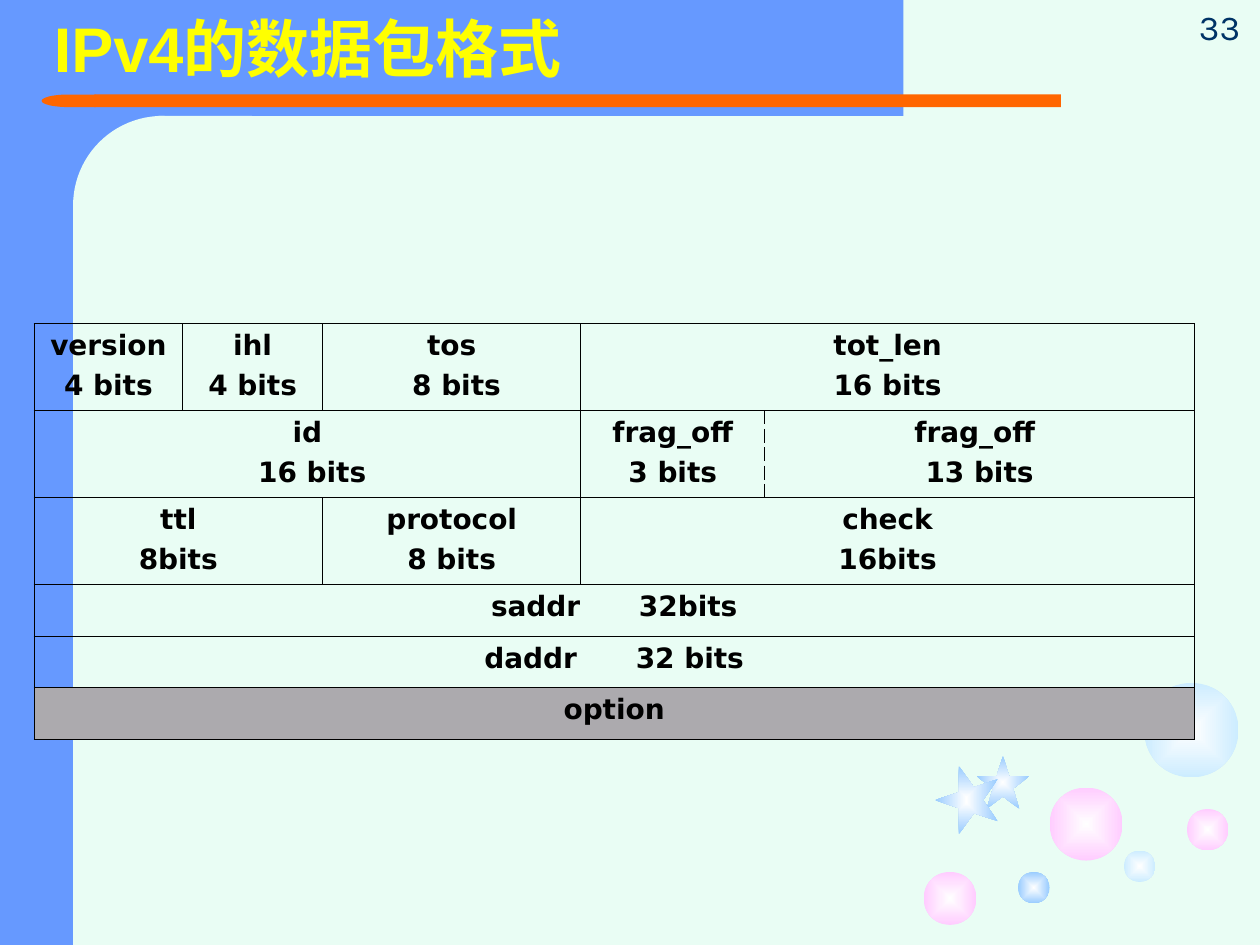
"""Build the slide that shows the layout of an IPv4 packet."""
from dataclasses import dataclass
from typing import NamedTuple

from lxml.etree import SubElement
from pptx import Presentation
from pptx.dml.color import RGBColor
from pptx.enum.shapes import MSO_SHAPE
from pptx.enum.text import MSO_ANCHOR, PP_ALIGN
from pptx.oxml.ns import qn
from pptx.util import Inches, Pt


@dataclass(frozen=True)
class Theme:
    paper: str = "E9FDF4"
    band: str = "6699FF"
    rule: str = "FF6600"
    heading: str = "FFFF00"
    number: str = "003366"
    ink: str = "000000"
    option: str = "ACAAAE"
    glow: str = "FFFFFF"
    pink: str = "FFCCFF"
    pale: str = "CCECFF"
    sky: str = "99CCFF"
    heading_font: str = "Arial"
    field_font: str = "DejaVu Sans"
    number_font: str = "Karla"
    heading_size: int = 36
    field_size: int = 16
    number_size: int = 20
    border: float = 0.45
    gap: float = 28


THEME = Theme()


class Block(NamedTuple):
    kind: MSO_SHAPE
    box: tuple[float, float, float, float]
    color: str
    rotation: float = 0
    rounding: float | None = None
    glowing: bool = False


class Field(NamedTuple):
    row: int
    column: int
    span: int
    lines: tuple[str, ...]
    fill: str | None = None
    dashed: str = ""


BACKDROP = (
    Block(MSO_SHAPE.RECTANGLE, (0, 0, 1.25, 7.5), THEME.band),
    Block(MSO_SHAPE.RECTANGLE, (0.5, 0, 6.67, 0.92), THEME.band),
    Block(MSO_SHAPE.ROUNDED_RECTANGLE, (0.58, 0.92, 1.42, 5.75), THEME.paper, rounding=0.5),
    Block(MSO_SHAPE.RECTANGLE, (1.25, 0.92, 0.75, 6.58), THEME.paper),
    Block(MSO_SHAPE.RECTANGLE, (0.75, 0.75, 7.67, 0.1), THEME.rule),
    Block(MSO_SHAPE.FLOWCHART_DELAY, (0.33, 0.75, 0.43, 0.1), THEME.rule, rotation=180),
    Block(MSO_SHAPE.RECTANGLE, (0.58, 5.92, 1.42, 1.58), THEME.paper),
)

BUBBLES = (
    (8.33, 6.25, 0.58, THEME.pink),
    (7.33, 6.92, 0.42, THEME.pink),
    (8.92, 6.75, 0.25, THEME.pale),
    (9.42, 6.42, 0.33, THEME.pink),
    (9.08, 5.42, 0.75, THEME.pale),
    (8.08, 6.92, 0.25, THEME.sky),
)

STARS = (
    Block(MSO_SHAPE.STAR_5_POINT, (7.75, 6, 0.42, 0.42), THEME.sky, glowing=True),
    Block(MSO_SHAPE.STAR_5_POINT, (7.4, 6.1, 0.54, 0.5), THEME.sky, rotation=270, glowing=True),
)

COLUMN_WIDTHS = (1.18, 1.11, 2.05, 1.46, 3.41)
ROW_HEIGHTS = (0.69, 0.69, 0.69, 0.41, 0.41, 0.41)
FIELDS = (
    Field(0, 0, 1, ("version", "4 bits")),
    Field(0, 1, 1, ("ihl", "4 bits")),
    Field(0, 2, 1, ("tos", " 8 bits")),
    Field(0, 3, 2, ("tot_len", "16 bits")),
    Field(1, 0, 3, ("id", " 16 bits")),
    Field(1, 3, 1, ("frag_off", "3 bits"), dashed="R"),
    Field(1, 4, 1, ("frag_off ", "13 bits"), dashed="L"),
    Field(2, 0, 2, ("ttl", "8bits")),
    Field(2, 2, 1, ("protocol", "8 bits")),
    Field(2, 3, 2, ("check", "16bits")),
    Field(3, 0, 5, ("saddr|32bits",)),
    Field(4, 0, 5, ("daddr|32 bits",)),
    Field(5, 0, 5, ("option",), fill=THEME.option),
)


def write(frame, *lines: str, font: str, size: float, color: str, bold: bool = False,
          align=PP_ALIGN.LEFT, before: float = 0, spacing: float = 1.0) -> None:
    """Write lines as paragraphs; a bar in a line becomes one wide space."""
    for index, line in enumerate(lines):
        paragraph = frame.add_paragraph() if index else frame.paragraphs[0]
        paragraph.alignment = align
        paragraph.line_spacing = spacing
        if index:
            paragraph.space_before = Pt(before)
        left, bar, right = line.partition("|")
        for part in filter(None, (left, bar, right)):
            run = paragraph.add_run()
            run.text = " " if part == "|" else part
            run.font.name, run.font.size, run.font.bold = font, Pt(size), bold
            run.font.color.rgb = RGBColor.from_string(color)
            if part == "|":
                run.font._element.set("spc", str(int(THEME.gap * 100)))


def add_label(slide, box: tuple[float, float, float, float], text: str, anchor, **style) -> None:
    """Add a text box with one line of text."""
    frame = slide.shapes.add_textbox(*map(Inches, box)).text_frame
    frame.word_wrap = True
    frame.vertical_anchor = anchor
    write(frame, text, **style)


def glow(shape, color: str) -> None:
    """Fill a shape with a gradient from a light centre to its colour."""
    shape.fill.gradient()
    gradient = shape._element.spPr.find(qn("a:gradFill"))
    for child in list(gradient):
        gradient.remove(child)
    stops = SubElement(gradient, qn("a:gsLst"))
    for position, tone in (("0", THEME.glow), ("100000", color)):
        stop = SubElement(stops, qn("a:gs"), pos=position)
        SubElement(stop, qn("a:srgbClr"), val=tone)
    centre = SubElement(gradient, qn("a:path"), path="rect")
    SubElement(centre, qn("a:fillToRect"), l="50000", t="50000", r="50000", b="50000")


def add_block(slide, block: Block) -> None:
    """Draw one borderless shape."""
    shape = slide.shapes.add_shape(block.kind, *map(Inches, block.box))
    shape.shadow.inherit = False
    shape.rotation = block.rotation
    if block.rounding is not None:
        shape.adjustments[0] = block.rounding
    if block.glowing:
        glow(shape, block.color)
    else:
        shape.fill.solid()
        shape.fill.fore_color.rgb = RGBColor.from_string(block.color)
    shape.line.fill.background()


def add_borders(cell, dashed: str) -> None:
    """Rule all four sides of a cell, dashing the named sides."""
    properties = cell._tc.get_or_add_tcPr()
    for side in "LRTB":
        line = SubElement(properties, qn(f"a:ln{side}"), w=str(int(Pt(THEME.border))))
        SubElement(SubElement(line, qn("a:solidFill")), qn("a:srgbClr"), val=THEME.ink)
        SubElement(line, qn("a:prstDash"), val="dash" if side in dashed else "solid")


def add_packet(slide) -> None:
    """Draw the packet header as a table of fields."""
    table = slide.shapes.add_table(
        len(ROW_HEIGHTS), len(COLUMN_WIDTHS), Inches(0.27), Inches(2.57),
        Inches(sum(COLUMN_WIDTHS)), Inches(sum(ROW_HEIGHTS))).table
    table.first_row = table.horz_banding = False
    for column, width in zip(table.columns, COLUMN_WIDTHS):
        column.width = Inches(width)
    for row, height in zip(table.rows, ROW_HEIGHTS):
        row.height = Inches(height)
    for field in FIELDS:
        last = field.column + field.span - 1
        first_cell = table.cell(field.row, field.column)
        if field.span > 1:
            first_cell.merge(table.cell(field.row, last))
        for column in range(field.column, last + 1):
            cell = table.cell(field.row, column)
            add_borders(cell, field.dashed)
            if field.fill:
                cell.fill.solid()
                cell.fill.fore_color.rgb = RGBColor.from_string(field.fill)
            else:
                cell.fill.background()
        write(first_cell.text_frame, *field.lines, font=THEME.field_font, size=THEME.field_size,
              color=THEME.ink, bold=True, align=PP_ALIGN.CENTER, before=4)


def main() -> None:
    """Build and save the slide."""
    deck = Presentation()
    deck.slide_width, deck.slide_height = Inches(10), Inches(7.5)
    slide = deck.slides.add_slide(deck.slide_layouts[6])
    slide.background.fill.solid()
    slide.background.fill.fore_color.rgb = RGBColor.from_string(THEME.paper)
    bubbles = tuple(Block(MSO_SHAPE.OVAL, (left, top, size, size), color, glowing=True)
                    for left, top, size, color in BUBBLES)
    for block in BACKDROP + bubbles + STARS:
        add_block(slide, block)
    add_label(slide, (0.33, 0, 8.42, 0.83), "IPv4的数据包格式", MSO_ANCHOR.MIDDLE, bold=True,
              font=THEME.heading_font, size=THEME.heading_size, color=THEME.heading, spacing=0.9)
    add_packet(slide)
    add_label(slide, (9.36, -0.05, 0.64, 0.48), "33", MSO_ANCHOR.BOTTOM, align=PP_ALIGN.CENTER,
              font=THEME.number_font, size=THEME.number_size, color=THEME.number)
    deck.save("out.pptx")


if __name__ == "__main__":
    main()
